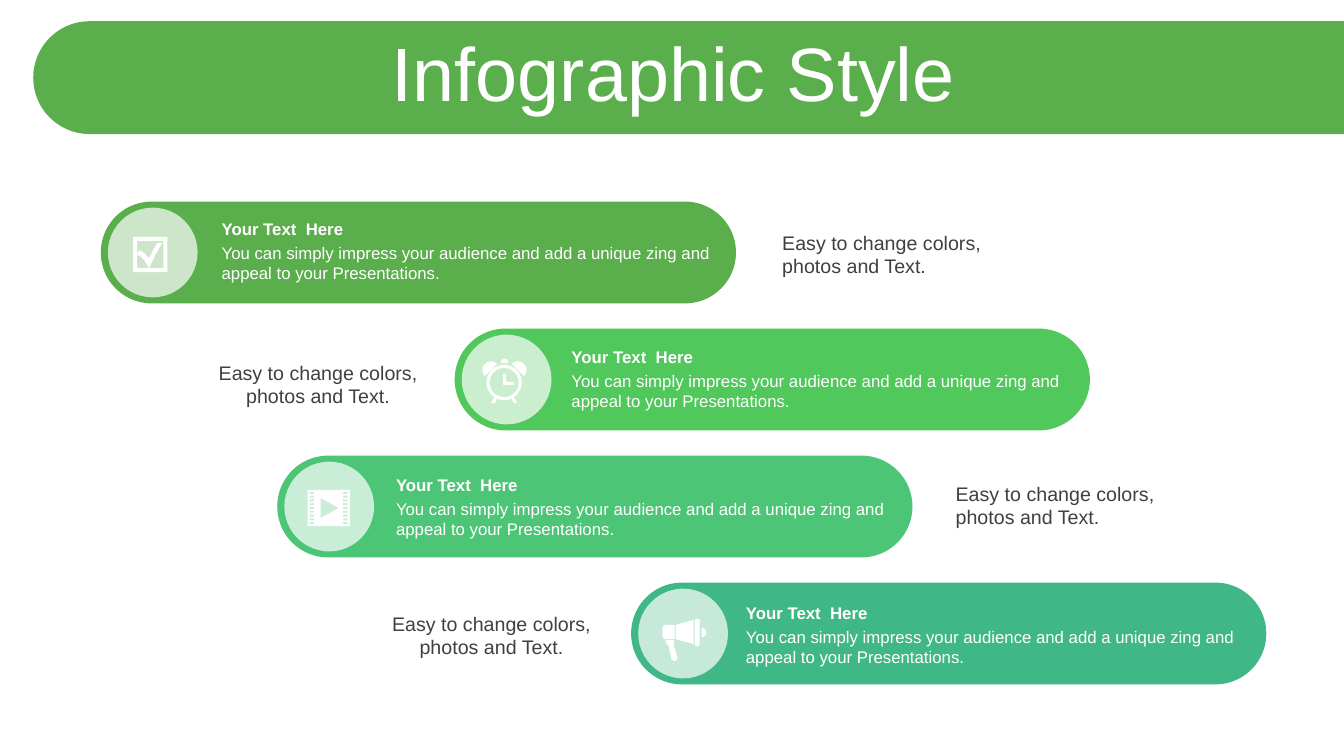
from math import cos, radians, sin

from pptx import Presentation
from pptx import util as u
from pptx.dml.color import RGBColor
from pptx.enum import shapes, text
from pptx.oxml.ns import qn
from lxml import etree

SHAPE = shapes.MSO_SHAPE
ALIGN = text.PP_ALIGN
HEADING = "Your Text  Here"
BODY = ("You can simply impress your audience and add a unique zing "
        "and appeal to your Presentations.")
NOTE = "Easy to change colors, photos and Text."


def px(n):
    """100 px to the inch."""
    return u.Emu(round(n * 9144))


def rgb(color):
    return RGBColor.from_string(color)


def rect(x, y, w, h):
    return [(x, y), (x + w, y), (x + w, y + h), (x, y + h)]


def arc(cx, cy, r, start, end, steps=24):
    angles = [radians(start + (end - start) * i / steps) for i in range(steps + 1)]
    return [(cx + r * cos(a), cy + r * sin(a)) for a in angles]


class Deck:
    font = "Arial"
    white = "FFFFFF"
    gray = "404040"

    def __init__(self):
        self.prs = Presentation()
        self.prs.slide_width, self.prs.slide_height = px(1333), px(750)
        self.slide = self.prs.slides.add_slide(self.prs.slide_layouts[5])

    def paint(self, sp, color, alpha=None):
        sp.shadow.inherit = False
        sp.fill.solid()
        sp.fill.fore_color.rgb = rgb(color)
        sp.line.fill.background()
        if alpha:
            clr = sp.element.spPr.find(".//" + qn("a:srgbClr"))
            etree.SubElement(clr, qn("a:alpha")).set("val", str(alpha * 1000))
        return sp

    def shape(self, kind, x, y, w, h, color, alpha=None):
        sp = self.slide.shapes.add_shape(kind, px(x), px(y), px(w), px(h))
        return self.paint(sp, color, alpha)

    def icon(self, contours):
        """One freeform; contours inside others become holes."""
        contours = [[(px(x), px(y)) for x, y in c] for c in contours]
        builder = self.slide.shapes.build_freeform(*contours[0][0], scale=1.0)
        for c in contours:
            builder.move_to(*c[0])
            builder.add_line_segments(c[1:], close=True)
        self.paint(builder.convert_to_shape(), self.white)

    def fill_text(self, tf, words, size, color, align, bold=False):
        tf.word_wrap = True
        tf.text = words
        p = tf.paragraphs[0]
        p.alignment = align
        p.font.name, p.font.size, p.font.bold = self.font, u.Pt(size), bold
        p.font.color.rgb = rgb(color)
        return p

    def label(self, words, x, y, w, h, size, color, align=ALIGN.LEFT, bold=False):
        tf = self.slide.shapes.add_textbox(px(x), px(y), px(w), px(h)).text_frame
        self.fill_text(tf, words, size, color, align, bold)
        tf.auto_size = text.MSO_AUTO_SIZE.SHAPE_TO_FIT_TEXT
        return tf

    def title(self, words, x, y, w, h):
        sp = self.slide.shapes.title
        sp.left, sp.top, sp.width, sp.height = px(x), px(y), px(w), px(h)
        tf = sp.text_frame
        self.fill_text(tf, words, 54, self.white, ALIGN.CENTER).line_spacing = 0.9
        tf.auto_size = text.MSO_AUTO_SIZE.NONE
        tf.vertical_anchor = text.MSO_ANCHOR.MIDDLE
        sp.element.getparent().append(sp.element)  # in front of the banner

    def pill(self, x, y, color):
        self.shape(SHAPE.ROUNDED_RECTANGLE, x, y, 630, 101, color).adjustments[0] = 0.5
        self.shape(SHAPE.OVAL, x + 7, y + 6, 89, 89, self.white, 70)

    def note(self, x, y, centered):
        align = ALIGN.CENTER if centered else ALIGN.LEFT
        tf = self.label(NOTE, x, y, 258, 57, 14, self.gray, align)
        if centered:
            tf.margin_left, tf.margin_right = px(37), px(0)


# Icon outlines
CHECKBOX = [
    rect(132, 235, 34, 35),
    [(136, 239), (136, 266), (148, 266), (143, 258), (139, 254), (136, 253),
     (138, 248), (143, 251), (148, 256), (152, 248), (156, 241), (161, 241),
     (154, 253), (148, 266), (162, 266), (162, 239)],
]
CLOCK = [
    arc(500, 379.5, 17.5, 124, 416) + [(513, 400), (510, 400)]
    + arc(500, 379.5, 17.5, 66, 114) + [(491, 400), (487, 400)],
    arc(500, 379.5, 14.5, 0, 360),
    [(499, 371), (502, 371), (502, 379), (510, 379), (510, 382), (499, 382)],
    arc(487, 367, 8.5, 135, 315),
    arc(513.5, 367, 8.5, 225, 405),
    [(497, 360), (497, 358), (499, 356), (502, 356), (504, 358), (504, 360)],
]
FILM = [rect(305, 486, 42, 36), [(318, 494), (318, 514), (336, 504)]]
FILM += [rect(x, 488 + 3.75 * i, 4.5, 2) for x in (307, 340) for i in range(9)]
MEGAPHONE = [
    [(660, 635), (668, 635), (669, 637), (668, 639), (672, 653), (671, 655),
     (669, 656), (666, 654), (663, 640), (661, 639)],
    arc(696, 627.5, 4.5, -90, 90),
    [(659, 620), (669, 620), (669, 634), (659, 634), (657, 632), (657, 622)],
    [(688, 615), (688, 639), (670, 634), (670, 620)],
    [(690, 614), (693, 614), (694, 615), (694, 639), (693, 641), (690, 641),
     (689, 639), (689, 615)],
]

# Pill left, text left, colour, icon, note left and top, note centred
ROWS = [
    (100, 210, "5AAE4C", CHECKBOX, (766, 224), False),
    (451, 557, "50C85B", CLOCK, (168, 353), True),
    (275, 383, "4CC576", FILM, (938, 473), False),
    (626, 730, "40B786", MEGAPHONE, (340, 602), True),
]


def main():
    deck = Deck()

    # Banner and title
    banner = deck.shape(SHAPE.ROUND_2_SAME_RECTANGLE, 627, -573, 112, 1300, "5AAE4C")
    banner.adjustments[0] = 0.5
    banner.rotation = 270
    deck.title("Infographic Style", 35, 37, 1266, 79)

    # Staggered rows
    for i, (pill_x, text_x, color, icon, note_at, centered) in enumerate(ROWS):
        deck.pill(pill_x, 200 + 126 * i, color)
        deck.icon(icon)
        top = 212 + 127 * i
        deck.label(BODY, text_x, top + 24, 520, 50, 12, deck.white)
        deck.label(HEADING, text_x, top, 520, 30, 12, deck.white, bold=True)
        deck.note(*note_at, centered)

    deck.prs.save("out.pptx")


if __name__ == "__main__":
    main()
